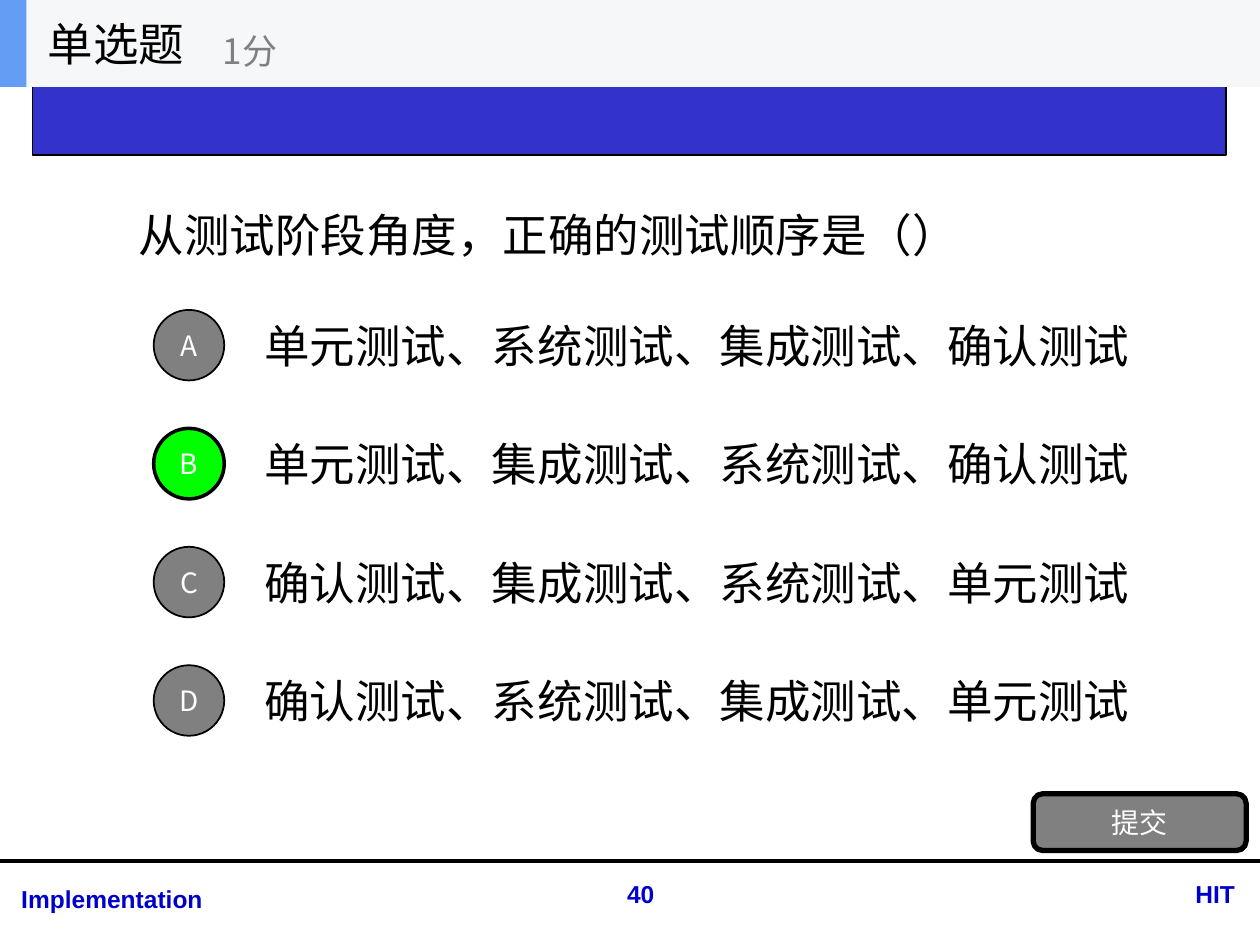
from lxml import etree
from pptx import Presentation
from pptx.dml.color import RGBColor
from pptx.enum.shapes import MSO_CONNECTOR, MSO_SHAPE
from pptx.enum.text import MSO_ANCHOR, MSO_AUTO_SIZE, PP_ALIGN
from pptx.oxml.ns import qn
from pptx.util import Inches, Pt

LEFT, CENTER, RIGHT = PP_ALIGN.LEFT, PP_ALIGN.CENTER, PP_ALIGN.RIGHT
TOP, MIDDLE = MSO_ANCHOR.TOP, MSO_ANCHOR.MIDDLE
RECT, OVAL, ROUNDED = MSO_SHAPE.RECTANGLE, MSO_SHAPE.OVAL, MSO_SHAPE.ROUNDED_RECTANGLE

COLORS = {
    "black": "000000", "white": "FFFFFF", "gray": "808080", "green": "00FF00",
    "band": "3333CC", "footer": "0000CC", "header": "F6F7F8", "accent": "639EF4",
}
CJK_FONT = "Noto Sans CJK SC"

QUESTION = "从测试阶段角度，正确的测试顺序是（）"
OPTIONS = [
    ("A", "单元测试、系统测试、集成测试、确认测试"),
    ("B", "单元测试、集成测试、系统测试、确认测试"),
    ("C", "确认测试、集成测试、系统测试、单元测试"),
    ("D", "确认测试、系统测试、集成测试、单元测试"),
]
ANSWER = "B"
FOOTERS = [
    ("Implementation", (0.07, 6.97, 3.85, 0.34), LEFT),
    ("HIT", (8.87, 6.93, 1.03, 0.34), RIGHT),
    ("40", (4.57, 6.93, 1.03, 0.34), CENTER),
]
HEADER_TEXTS = [
    ("单选题", (0.28, 0, 2.08, 0.69), 26, "black"),
    ("1分", (1.67, 0.12, 2.5, 0.56), 20, "gray"),
]
OPTION_TOP, OPTION_PITCH, OPTION_HEIGHT = 2.39, 0.94, 0.7
BADGE_SIZE = 0.56


def rgb(color):
    return RGBColor.from_string(COLORS[color])


def inches(box):
    return [Inches(length) for length in box]


def write(shape, text, size, color, align=LEFT, anchor=MIDDLE, font=CJK_FONT, bold=False):
    frame = shape.text_frame
    frame.text = text
    frame.word_wrap = True
    frame.auto_size = MSO_AUTO_SIZE.NONE
    frame.vertical_anchor = anchor
    paragraph = frame.paragraphs[0]
    paragraph.alignment = align
    run_font = paragraph.runs[0].font
    run_font.size, run_font.bold, run_font.name = Pt(size), bold, font
    run_font.color.rgb = rgb(color)
    # Chinese characters take their face from the East Asian font
    properties = paragraph.runs[0]._r.get_or_add_rPr()
    etree.SubElement(properties, qn("a:ea")).set("typeface", font)


def add_text(shapes, box, *args, **kwargs):
    write(shapes.add_textbox(*inches(box)), *args, **kwargs)


def add_block(shapes, kind, box, fill, line_width=0):
    block = shapes.add_shape(kind, *inches(box))
    block.shadow.inherit = False
    block.fill.solid()
    block.fill.fore_color.rgb = rgb(fill)
    if line_width:
        block.line.color.rgb = rgb("black")
        block.line.width = Pt(line_width)
    else:
        block.line.fill.background()
    return block


def add_button(shapes, kind, box, fill, line_width, label):
    button = add_block(shapes, kind, box, fill, line_width)
    frame = button.text_frame
    frame.margin_left = frame.margin_right = frame.margin_top = frame.margin_bottom = 0
    write(button, label, 16, "white", CENTER)


def main():
    presentation = Presentation()
    presentation.slide_width, presentation.slide_height = Inches(10), Inches(7.5)
    slide = presentation.slides.add_slide(presentation.slide_layouts[5])
    shapes = slide.shapes

    add_block(shapes, RECT, (0.26, 0.32, 9.47, 0.91), "band", 0.75)
    rule = shapes.add_connector(MSO_CONNECTOR.STRAIGHT, *inches((0, 6.83, 10, 6.83)))
    rule.line.color.rgb = rgb("black")
    rule.line.width = Pt(2.25)
    etree.SubElement(rule._element.spPr, qn("a:effectLst"))
    for text, box, align in FOOTERS:
        add_text(shapes, box, text, 14, "footer", align, TOP, "Arial", True)

    question = shapes.title
    question.left, question.top, question.width, question.height = inches((1, 0.69, 8, 2.34))
    write(question, QUESTION, 26, "black")

    for row, (letter, option) in enumerate(OPTIONS):
        top = OPTION_TOP + row * OPTION_PITCH
        add_text(shapes, (2, top, 7.28, OPTION_HEIGHT), option, 26, "black")
        badge_top = top + (OPTION_HEIGHT - BADGE_SIZE) / 2
        fill, line_width = ("green", 2) if letter == ANSWER else ("gray", 1)
        add_button(shapes, OVAL, (1.22, badge_top, BADGE_SIZE, BADGE_SIZE), fill, line_width, letter)
    add_button(shapes, ROUNDED, (8.2, 6.3, 1.69, 0.45), "gray", 3, "提交")

    header = shapes.add_group_shape().shapes
    add_block(header, RECT, (0, 0, 10, 0.69), "header")
    add_block(header, RECT, (0, 0, 0.21, 0.69), "accent")
    for text, box, size, color in HEADER_TEXTS:
        add_text(header, box, text, size, color)

    presentation.save("out.pptx")


if __name__ == "__main__":
    main()
